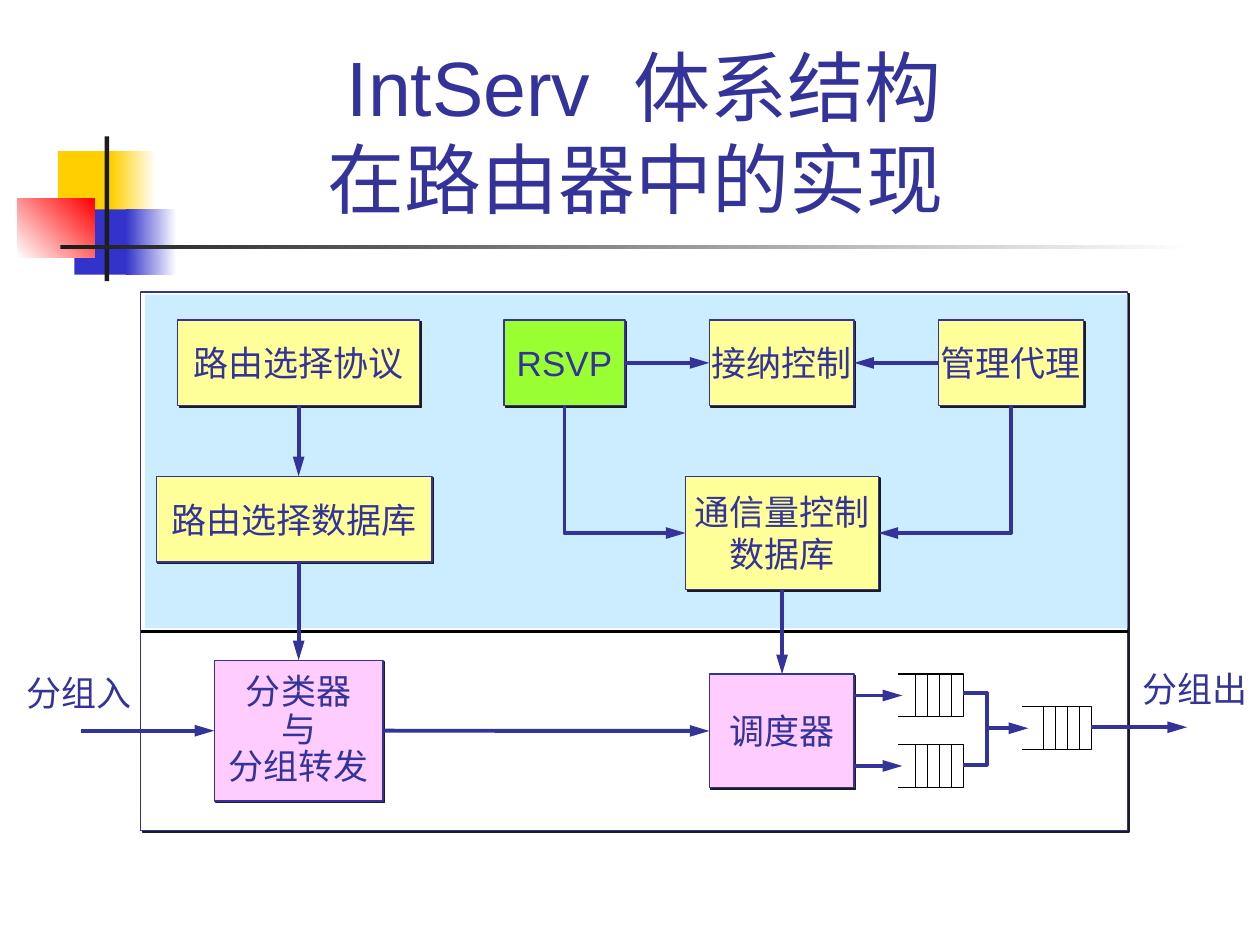
from lxml import etree
from pptx import Presentation
from pptx.dml.color import RGBColor
from pptx.enum.shapes import MSO_CONNECTOR, MSO_SHAPE
from pptx.enum.text import MSO_ANCHOR, PP_ALIGN
from pptx.oxml.ns import qn
from pptx.util import Cm, Pt

THEME = {
    "font": "Arial", "title": 44, "label": 20,
    "thin": 0.75, "thick": 2.25,
    "ink": "333399", "black": "000000", "dark": "1C1C1C", "white": "FFFFFF",
    "sky": "CCECFF", "yellow": "FFFF99", "green": "99FF33", "pink": "FFCCFF",
    "gold": "FFCF01", "blue": "3333CC", "red": "FF0000",
}

# All places are left, top, width, height in centimetres.
TITLE = ("IntServ  体系结构\v在路由器中的实现 ", (3.2, 0.58, 19.58, 4.06))

# place, colours (two make a gradient), gradient angle
ORNAMENTS = [
    ((1.17, 3.05, 1.22, 1.32), ["gold"], 0),
    ((2.24, 3.05, 0.91, 1.32), ["gold", "white"], 0),
    ((1.5, 4.22, 1.17, 1.32), ["blue"], 0),
    ((2.54, 4.22, 1.02, 1.32), ["blue", "white"], 0),
    ((0.35, 4.01, 1.56, 1.18), ["white", "red"], 45),
    ((2.11, 2.75, 0.09, 2.92), ["dark"], 0),
    ((1.22, 4.94, 22.86, 0.09), ["dark", "white"], 0),
]

ROUTER = (2.84, 5.89, 19.89, 10.85)
CONTROL_PLANE = (2.92, 5.94, 19.81, 6.73)
DIVIDER_Y = 12.73

# name: (text, place, colour, line spacing)
MODULES = {
    "protocol": ("路由选择协议", (3.58, 6.45, 4.88, 1.73), "yellow", 1),
    "routes": ("路由选择数据库", (3.15, 9.6, 5.56, 1.73), "yellow", 1),
    "rsvp": ("RSVP", (10.16, 6.45, 2.44, 1.73), "green", 1),
    "admission": ("接纳控制", (14.3, 6.45, 2.92, 1.73), "yellow", 1),
    "agent": ("管理代理", (18.92, 6.45, 2.92, 1.73), "yellow", 1),
    "traffic": ("通信量控制\n数据库", (13.82, 9.6, 3.89, 2.29), "yellow", 1),
    "classifier": ("分类器\n与\n分组转发", (4.32, 13.31, 3.4, 2.84), "pink", 0.9),
    "scheduler": ("调度器", (14.3, 13.59, 2.92, 2.29), "pink", 1),
}

QUEUES = [(18.11, 13.59, 1.31, 0.86), (18.11, 15.01, 1.31, 0.86), (20.6, 14.25, 1.4, 0.86)]
QUEUE_BARS, QUEUE_STEP = 4, 0.24

PORTS = [("分组入", (0.28, 13.41, 2.62, 1.12)), ("分组出", (22.78, 13.33, 2.62, 1.12))]


def side(name, across, down):
    """Point of a module, given as fractions of its width and height."""
    left, top, width, height = MODULES[name][1]
    return left + across * width, top + down * height


def find_routes():
    """Flows as (points, has arrowhead)."""
    protocol = side("protocol", 0.5, 1)
    routes_x = protocol[0]
    rsvp, agent = side("rsvp", 0.5, 1), side("agent", 0.5, 1)
    traffic_left, traffic_right = side("traffic", 0, 0.5), side("traffic", 1, 0.5)
    traffic = side("traffic", 0.5, 1)
    entry = side("classifier", 0, 0.5)
    middles = [top + height / 2 for _, top, _, height in QUEUES]
    scheduler_right = side("scheduler", 1, 0)[0]
    first_left, first_width = QUEUES[0][0], QUEUES[0][2]
    join_x, queue_end = 19.89, first_left + first_width
    last_left, _, last_width, _ = QUEUES[2]
    flows = [
        ([protocol, (routes_x, MODULES["routes"][1][1])], True),
        ([(routes_x, side("routes", 0, 1)[1]), (routes_x, entry[1] - 1.42)], True),
        ([side("rsvp", 1, 0.5), side("admission", 0, 0.5)], True),
        ([side("agent", 0, 0.5), side("admission", 1, 0.5)], True),
        ([rsvp, (rsvp[0], traffic_left[1]), traffic_left], True),
        ([agent, (agent[0], traffic_right[1]), traffic_right], True),
        ([traffic, (traffic[0], side("scheduler", 0, 0)[1])], True),
        ([(1.63, entry[1]), entry], True),
        ([side("classifier", 1, 0.5), side("scheduler", 0, 0.5)], True),
        ([(queue_end, middles[0] - 0.05), (join_x, middles[0] - 0.05),
          (join_x, middles[1] - 0.02), (queue_end, middles[1] - 0.02)], False),
        ([(join_x, middles[2]), (last_left + 0.13, middles[2])], True),
        ([(last_left + last_width, middles[2] - 0.02), (23.93, middles[2] - 0.02)], True),
    ]
    flows += [([(scheduler_right, y), (first_left + 0.08, y)], True) for y in middles[:2]]
    return flows


def colour(name):
    return RGBColor.from_string(THEME[name])


def add_block(page, place, colours, angle=0):
    block = page.shapes.add_shape(MSO_SHAPE.RECTANGLE, *map(Cm, place))
    block.shadow.inherit = False
    block.line.fill.background()
    if len(colours) == 1:
        block.fill.solid()
        block.fill.fore_color.rgb = colour(colours[0])
    else:
        block.fill.gradient()
        block.fill.gradient_angle = angle
        for stop, position, name in zip(block.fill.gradient_stops, (0, 1), colours):
            stop.position = position
            stop.color.rgb = colour(name)
    return block


def add_framed_block(page, place, fill):
    """Outlined block with a hard shadow down to the right."""
    block = add_block(page, place, [fill])
    block.line.color.rgb = colour("ink")
    block.line.width = Pt(THEME["thin"])
    effects = block.element.spPr.find(qn("a:effectLst"))
    shadow = etree.SubElement(effects, qn("a:outerShdw"), blurRad="0",
                              dist=str(Pt(1.4)), dir="2700000", algn="ctr", rotWithShape="0")
    etree.SubElement(shadow, qn("a:srgbClr"), val=THEME["dark"])
    return block


def write(box, text, size, align, anchor, wrap=False, spacing=1):
    frame = box.text_frame
    frame.text = text
    frame.word_wrap = wrap
    frame.vertical_anchor = anchor
    for paragraph in frame.paragraphs:
        paragraph.alignment = align
        paragraph.line_spacing = spacing
        for span in paragraph.runs:
            span.font.name = THEME["font"]
            span.font.size = Pt(THEME[size])
            span.font.color.rgb = colour("ink")


def add_path(page, points, ink, weight, arrow=False):
    """Straight connector for two points, open outline for more."""
    corners = [(Cm(x), Cm(y)) for x, y in points]
    if len(corners) == 2:
        path = page.shapes.add_connector(MSO_CONNECTOR.STRAIGHT, *corners[0], *corners[1])
        etree.SubElement(path.element.spPr, qn("a:effectLst"))
    else:
        builder = page.shapes.build_freeform(*corners[0], scale=1.0)
        builder.add_line_segments(corners[1:], close=False)
        path = builder.convert_to_shape()
        path.shadow.inherit = False
        path.fill.background()
    path.line.color.rgb = colour(ink)
    path.line.width = Pt(THEME[weight])
    if arrow:
        outline = path.element.spPr.find(qn("a:ln"))
        etree.SubElement(outline, qn("a:tailEnd"), type="triangle", w="med", len="lg")


def add_queue(page, place):
    left, top, width, height = place
    right, bottom = left + width, top + height
    add_path(page, [(left, top), (right, top), (right, bottom), (left, bottom)], "black", "thin")
    for number in range(1, QUEUE_BARS + 1):
        x = right - number * QUEUE_STEP
        add_path(page, [(x, top), (x, bottom)], "black", "thin")


def main():
    deck = Presentation()
    deck.slide_width, deck.slide_height = Cm(25.4), Cm(19.05)
    page = deck.slides.add_slide(deck.slide_layouts[6])

    for place, colours, angle in ORNAMENTS:
        add_block(page, place, colours, angle)
    text, place = TITLE
    write(page.shapes.add_textbox(*map(Cm, place)), text, "title",
          PP_ALIGN.CENTER, MSO_ANCHOR.BOTTOM, wrap=True)

    add_framed_block(page, ROUTER, "white")
    add_block(page, CONTROL_PLANE, ["sky"])
    for text, place, fill, spacing in MODULES.values():
        write(add_framed_block(page, place, fill), text, "label",
              PP_ALIGN.CENTER, MSO_ANCHOR.MIDDLE, spacing=spacing)
    for place in QUEUES:
        add_queue(page, place)

    left, _, width, _ = ROUTER
    add_path(page, [(left, DIVIDER_Y), (left + width, DIVIDER_Y)], "black", "thick")
    for points, arrow in find_routes():
        add_path(page, points, "ink", "thick", arrow)
    for text, place in PORTS:
        write(page.shapes.add_textbox(*map(Cm, place)), text, "label",
              PP_ALIGN.LEFT, MSO_ANCHOR.TOP)

    deck.save("out.pptx")


if __name__ == "__main__":
    main()
